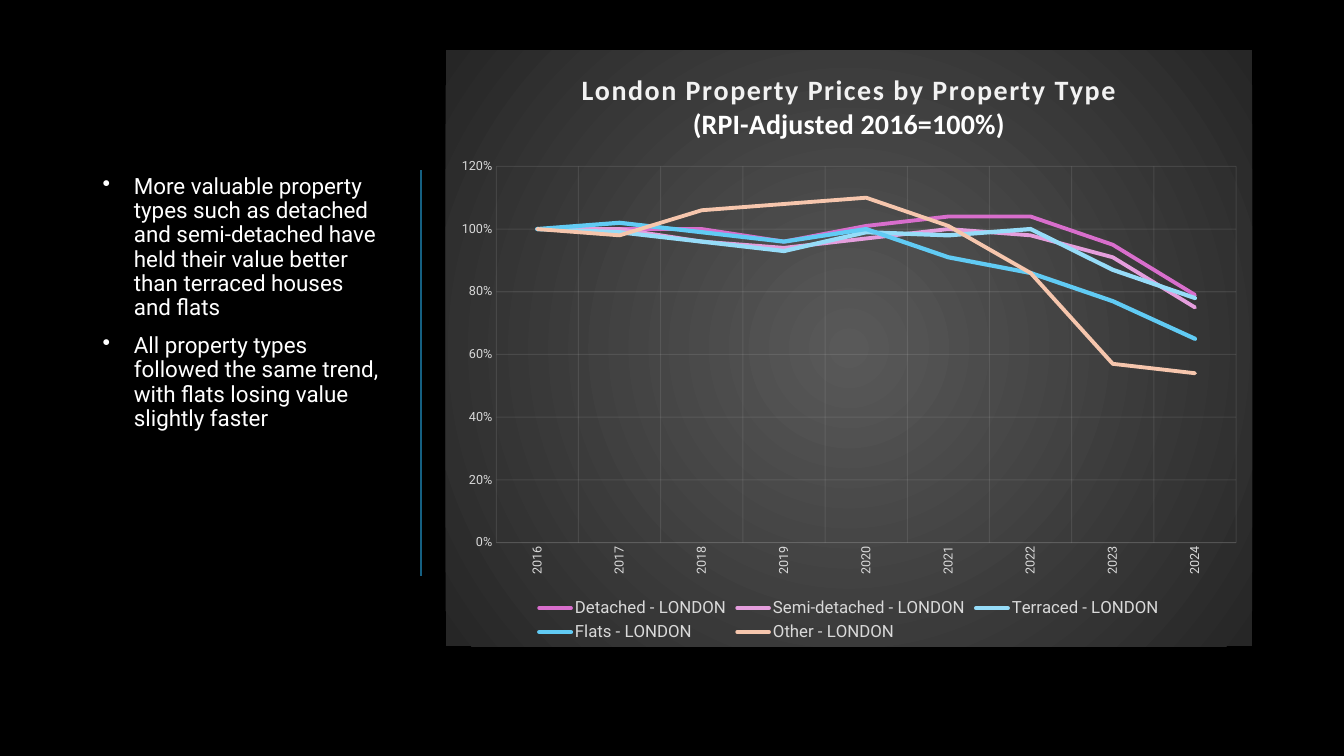
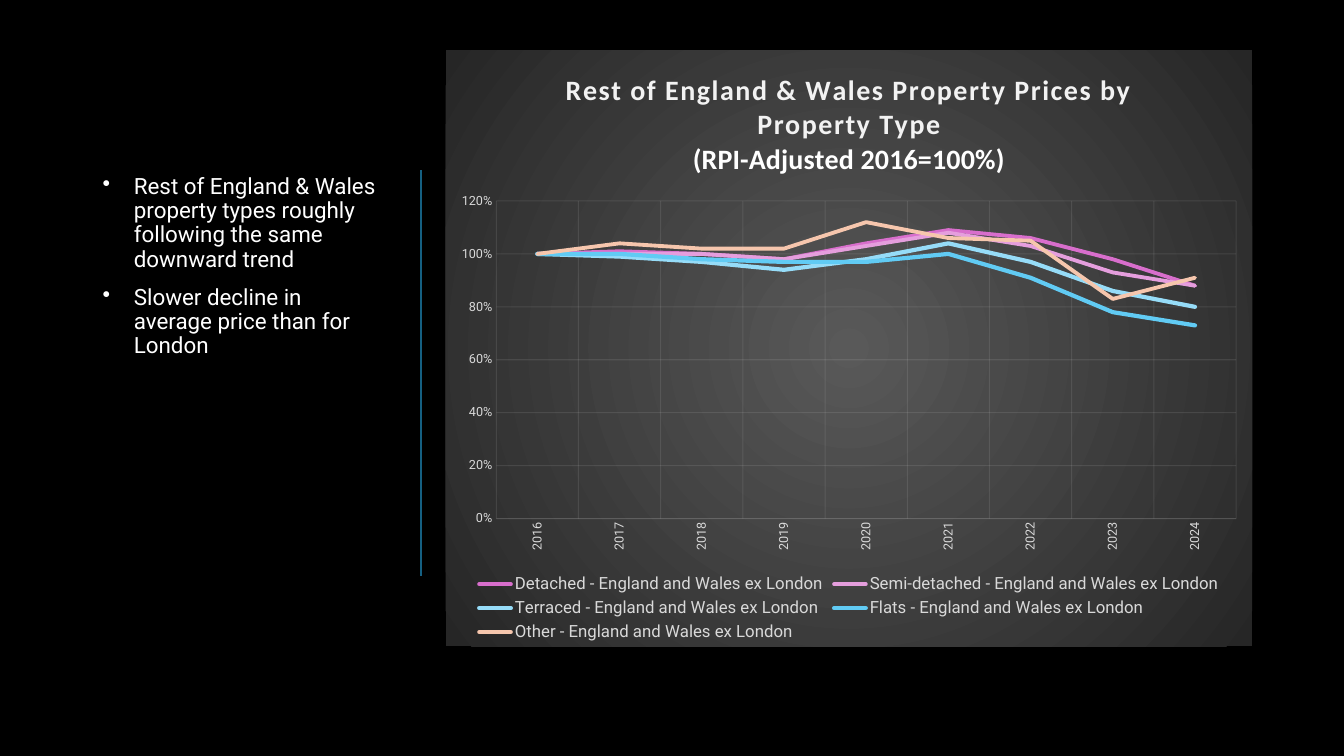
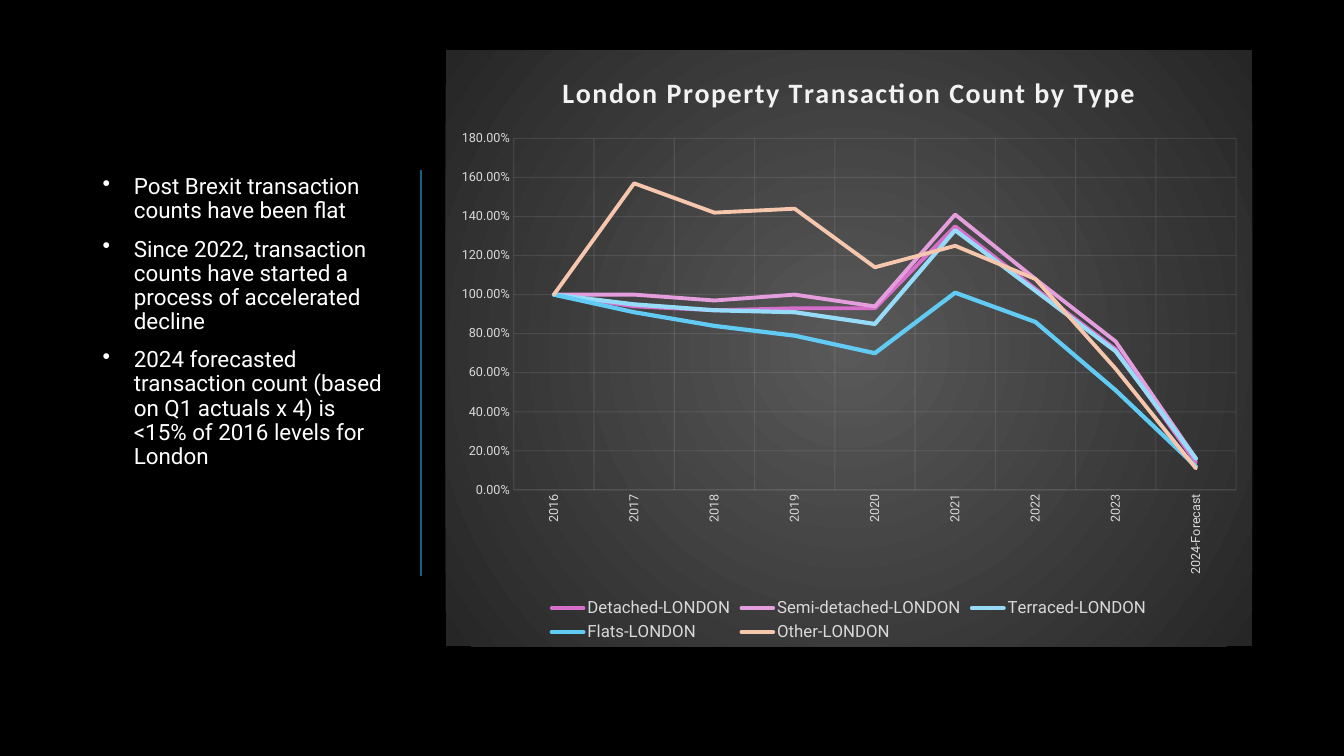
from lxml import etree
from pptx import Presentation
from pptx import util as u
from pptx.chart.data import CategoryChartData
from pptx.dml.color import RGBColor
from pptx.enum import chart as ch
from pptx.enum import shapes
from pptx.oxml import parse_xml
from pptx.oxml.ns import nsdecls, qn

BLACK = RGBColor(0x00, 0x00, 0x00)
WHITE = RGBColor(0xFF, 0xFF, 0xFF)
RULE_BLUE = RGBColor(0x15, 0x60, 0x82)
LABEL_GREY = RGBColor(0xD9, 0xD9, 0xD9)
PALE_GREY = RGBColor(0xF2, 0xF2, 0xF2)
PANEL_CENTRE = RGBColor(0x59, 0x59, 0x59)
PANEL_EDGE = RGBColor(0x26, 0x26, 0x26)

BODY_FONT = "Roboto"
TITLE_FONT = "Calibri"

# Property type: line colour and width in points
PROPERTY_TYPES = {
    "Detached": (RGBColor(0xD8, 0x6E, 0xCC), 2.75),
    "Semi-detached": (RGBColor(0xE5, 0x9E, 0xDD), 2.75),
    "Terraced": (RGBColor(0x96, 0xDC, 0xF8), 3),
    "Flats": (RGBColor(0x61, 0xCB, 0xF4), 3),
    "Other": (RGBColor(0xF6, 0xC6, 0xAD), 2.75),
}

# Regions in inches: left, top, width, height
SLIDE_SIZE = (13.33, 7.5)
NOTES_BOX = (0.92, 1.69, 3, 4.02)
CHART_BOX = (4.42, 0.5, 8, 5.91)
RULE_GAP = 0.26
BULLET_INDENT = 0.31

YEARS = [str(year) for year in range(2016, 2024)]

SLIDES = [
    {
        "bullets": [
            "More valuable property types such as detached and semi-detached have held "
            "their value better than terraced houses and flats",
            "All property types followed the same trend, with flats losing value slightly faster",
        ],
        "title": ["London Property Prices by Property Type", "(RPI-Adjusted 2016=100%)"],
        "region": " - LONDON",
        "last_year": "2024",
        "format": "0%",
        "values": [
            (1, 1, 1, 0.96, 1.01, 1.04, 1.04, 0.95, 0.79),
            (1, 1, 0.96, 0.94, 0.97, 1, 0.98, 0.91, 0.75),
            (1, 0.99, 0.96, 0.93, 0.99, 0.98, 1, 0.87, 0.78),
            (1, 1.02, 0.99, 0.96, 1, 0.91, 0.86, 0.77, 0.65),
            (1, 0.98, 1.06, 1.08, 1.1, 1.01, 0.86, 0.57, 0.54),
        ],
    },
    {
        "bullets": [
            "Rest of England & Wales property types roughly following the same downward trend",
            "Slower decline in average price than for London",
        ],
        "title": [
            "Rest of England & Wales Property Prices by Property Type",
            "(RPI-Adjusted 2016=100%)",
        ],
        "region": " - England and Wales ex London",
        "last_year": "2024",
        "format": "0%",
        "values": [
            (1, 1.01, 1, 0.98, 1.04, 1.09, 1.06, 0.98, 0.88),
            (1, 1, 1, 0.98, 1.03, 1.08, 1.03, 0.93, 0.88),
            (1, 0.99, 0.97, 0.94, 0.98, 1.04, 0.97, 0.86, 0.8),
            (1, 1, 0.98, 0.97, 0.97, 1, 0.91, 0.78, 0.73),
            (1, 1.04, 1.02, 1.02, 1.12, 1.06, 1.05, 0.83, 0.91),
        ],
    },
    {
        "bullets": [
            "Post Brexit transaction counts have been flat",
            "Since 2022, transaction counts have started a process of accelerated decline",
            "2024 forecasted transaction count (based on Q1 actuals x 4) is <15% of 2016 "
            "levels for London",
        ],
        "title": ["London Property Transaction Count by Type"],
        "region": "-LONDON",
        "last_year": "2024-Forecast",
        "format": "0.00%",
        "values": [
            (1, 0.94, 0.92, 0.93, 0.93, 1.35, 1.03, 0.72, 0.14),
            (1, 1, 0.97, 1, 0.94, 1.41, 1.08, 0.76, 0.16),
            (1, 0.95, 0.92, 0.91, 0.85, 1.33, 1.02, 0.71, 0.16),
            (1, 0.91, 0.84, 0.79, 0.7, 1.01, 0.86, 0.51, 0.12),
            (1, 1.57, 1.42, 1.44, 1.14, 1.25, 1.08, 0.62, 0.11),
        ],
    },
]


def inches(values):
    return [u.Inches(value) for value in values]


def set_font(font, size, color, name=BODY_FONT, bold=False):
    font.size, font.name, font.bold = u.Pt(size), name, bold
    font.color.rgb = color


def set_line(line, color, width):
    line.color.rgb = color
    line.width = u.Pt(width)


def add_notes(slide, box, bullets):
    """Bulleted comments with a rule along their right side."""
    left, top, width, height = box
    frame = slide.shapes.add_textbox(*inches(box)).text_frame
    frame.word_wrap = True
    frame.text = "\n".join(bullets)
    for paragraph in frame.paragraphs:
        set_font(paragraph.font, 16, WHITE)
        paragraph.line_spacing = 0.9
        paragraph.space_before = u.Pt(10)
        props = paragraph.font._element.getparent()
        props.set("marL", str(u.Inches(BULLET_INDENT)))
        props.set("indent", str(-u.Inches(BULLET_INDENT)))
        bullet = parse_xml(f'<a:buChar {nsdecls("a")} char="•"/>')
        props.find(qn("a:defRPr")).addprevious(bullet)

    rule_x = left + width + RULE_GAP
    rule = slide.shapes.add_connector(
        shapes.MSO_CONNECTOR.STRAIGHT, *inches((rule_x, top, rule_x, top + height)))
    set_line(rule.line, RULE_BLUE, 1.5)
    etree.SubElement(rule.element.spPr, qn("a:effectLst"))


def style_title(chart, lines):
    frame = chart.chart_title.text_frame
    frame.text = "\n".join(lines)
    for paragraph, color in zip(frame.paragraphs, (PALE_GREY, WHITE)):
        set_font(paragraph.runs[0].font, 20, color, TITLE_FONT, bold=True)
    # The heading line is letter-spaced
    chart.element.xpath(".//c:title//a:rPr")[0].set("spc", "100")


def style_axes(chart, number_format):
    for axis in (chart.category_axis, chart.value_axis):
        axis.major_tick_mark = axis.minor_tick_mark = ch.XL_TICK_MARK.NONE
        axis.has_major_gridlines = True
        set_line(axis.major_gridlines.format.line, PALE_GREY, 0.75)
        set_font(axis.tick_labels.font, 9, LABEL_GREY)
    set_line(chart.category_axis.format.line, PALE_GREY, 0.75)
    chart.value_axis.format.line.fill.background()
    chart.value_axis.minimum_scale = 0
    chart.value_axis.major_unit = 0.2
    chart.value_axis.tick_labels.number_format = number_format
    chart.value_axis.tick_labels.number_format_is_linked = False

    # Upright year labels and faint lines
    label_body = chart.element.xpath(".//c:catAx/c:txPr/a:bodyPr")[0]
    label_body.set("rot", "-5400000")
    label_body.set("vert", "horz")
    for color in chart.element.xpath(f'.//a:ln/a:solidFill/a:srgbClr[@val="{PALE_GREY}"]'):
        etree.SubElement(color, qn("a:alpha")).set("val", "10000")


def fill_panel(chart):
    """Radial gradient behind the whole chart."""
    panel = parse_xml(
        f'<c:spPr {nsdecls("c", "a")}><a:gradFill><a:gsLst>'
        f'<a:gs pos="0"><a:srgbClr val="{PANEL_CENTRE}"/></a:gs>'
        f'<a:gs pos="100000"><a:srgbClr val="{PANEL_EDGE}"/></a:gs></a:gsLst>'
        '<a:path path="circle"><a:fillToRect l="50000" t="50000" r="50000" b="50000"/></a:path>'
        '</a:gradFill><a:ln><a:noFill/></a:ln></c:spPr>')
    chart.element.find(qn("c:chart")).addnext(panel)


def add_trend_chart(slide, box, content):
    data = CategoryChartData(number_format=content["format"])
    data.categories = YEARS + [content["last_year"]]
    for property_type, values in zip(PROPERTY_TYPES, content["values"]):
        data.add_series(property_type + content["region"], values)
    chart = slide.shapes.add_chart(ch.XL_CHART_TYPE.LINE, *inches(box), data).chart
    set_font(chart.font, 10, WHITE)

    # Legend
    chart.has_legend = True
    chart.legend.position = ch.XL_LEGEND_POSITION.BOTTOM
    chart.legend.include_in_layout = False
    set_font(chart.legend.font, 12, LABEL_GREY)

    # Lines
    chart.plots[0].vary_by_categories = False
    for series, (color, width) in zip(chart.plots[0].series, PROPERTY_TYPES.values()):
        series.smooth = False
        set_line(series.format.line, color, width)
    for outline in chart.element.xpath(".//c:ser/c:spPr/a:ln"):
        outline.set("cap", "rnd")

    style_title(chart, content["title"])
    style_axes(chart, content["format"])
    fill_panel(chart)


def main():
    prs = Presentation()
    prs.slide_width, prs.slide_height = inches(SLIDE_SIZE)
    backdrop = prs.slide_master.background.fill
    backdrop.solid()
    backdrop.fore_color.rgb = BLACK
    for content in SLIDES:
        slide = prs.slides.add_slide(prs.slide_layouts[6])
        add_notes(slide, NOTES_BOX, content["bullets"])
        add_trend_chart(slide, CHART_BOX, content)
    prs.save("out.pptx")


if __name__ == "__main__":
    main()
